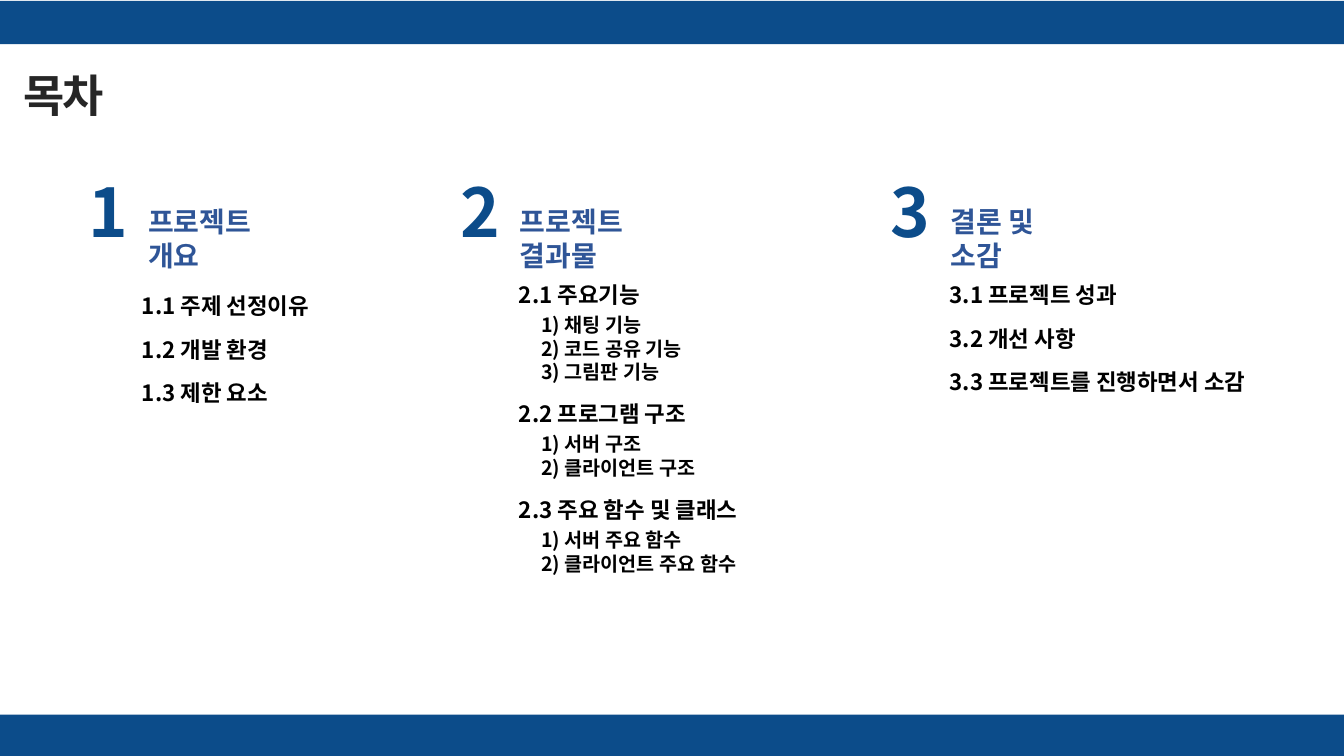
"""Build a table of contents slide with three numbered columns."""
import pptx
import pptx.util
import pptx.dml.color
import pptx.enum.shapes

FONT = "Noto Sans CJK KR"
COLORS = {"bar": "0C4C8A", "head": "2F5597", "title": "262626", "text": "000000"}
TITLE = "목차"
BARS = [(0.13, 5.73), (94.53, 5.47)]
PARTS = [
    {"left": 5.85, "shift": 3.98, "top": 38, "wide": 16.9, "tall": 18.8,
     "head": "프로젝트\v개요",
     "items": [("1.1 주제 선정이유", []), ("1.2 개발 환경", []), ("1.3 제한 요소", [])]},
    {"left": 33.5, "shift": 4.38, "top": 36.53, "wide": 25.2, "tall": 42.8,
     "head": "프로젝트\v결과물",
     "items": [
         ("2.1 주요기능", ["1) 채팅 기능", "2) 코드 공유 기능", "3) 그림판 기능"]),
         ("2.2 프로그램 구조", ["1) 서버 구조", "2) 클라이언트 구조"]),
         ("2.3 주요 함수 및 클래스", ["1) 서버 주요 함수", "2) 클라이언트 주요 함수"])]},
    {"left": 65.55, "shift": 4.38, "top": 36.53, "wide": 26.1, "tall": 16.7,
     "head": "결론 및\v소감",
     "items": [("3.1 프로젝트 성과", []), ("3.2 개선 사항", []),
               ("3.3 프로젝트를 진행하면서 소감", [])]},
]

deck = pptx.Presentation()
deck.slide_width = pptx.util.Inches(13.33)
deck.slide_height = pptx.util.Inches(7.5)
slide = deck.slides.add_slide(deck.slide_layouts[6])


def place(left, top, wide, tall):
    """Turn percent shares of the slide into lengths."""
    across, down = deck.slide_width / 100, deck.slide_height / 100
    return [int(n) for n in (left * across, top * down, wide * across, tall * down)]


def write(area, lines, color, tight=False):
    """Add a bold text box of (text, size, gap, indent) lines."""
    frame = slide.shapes.add_textbox(*place(*area)).text_frame
    frame.word_wrap = True
    for i, (text, size, gap, indent) in enumerate(lines):
        para = frame.paragraphs[0] if i == 0 else frame.add_paragraph()
        para.text = text
        if indent:
            para._p.get_or_add_pPr().set("marL", str(pptx.util.Inches(indent)))
        if i:
            para.space_before = pptx.util.Pt(gap)
        para.font.name = FONT
        para.font.size = pptx.util.Pt(size)
        para.font.bold = True
        para.font.color.rgb = pptx.dml.color.RGBColor.from_string(COLORS[color])
        if tight:
            para.runs[0].font._element.set("spc", "-150")
    return frame


for top, tall in BARS:
    bar = slide.shapes.add_shape(
        pptx.enum.shapes.MSO_SHAPE.RECTANGLE, *place(0, top, 100, tall))
    bar.shadow.inherit = False
    bar.fill.solid()
    bar.fill.fore_color.rgb = pptx.dml.color.RGBColor.from_string(COLORS["bar"])
    bar.line.fill.background()

name = write((0.9, 8.13, 15.3, 8.67), [(TITLE, 32, 0, 0)], "title", True)
name.margin_left = name.margin_right = pptx.util.Inches(0.11)
name.margin_top = name.margin_bottom = pptx.util.Inches(0.06)

for count, part in enumerate(PARTS, 1):
    left = part["left"]
    write((left, 21.87, 4.4, 12.13), [(str(count), 48, 0, 0)], "bar", True)
    write((left + 4.43, 26.4, 13.5, 5.87), [(part["head"], 20, 0, 0)], "head")
    lines = []
    for item, subs in part["items"]:
        lines.append((item, 16, 12, 0))
        lines += [(sub, 14, 0 if i else 3.6, 0.22) for i, sub in enumerate(subs)]
    write((left + part["shift"], part["top"], part["wide"], part["tall"]), lines, "text")

deck.save("out.pptx")
